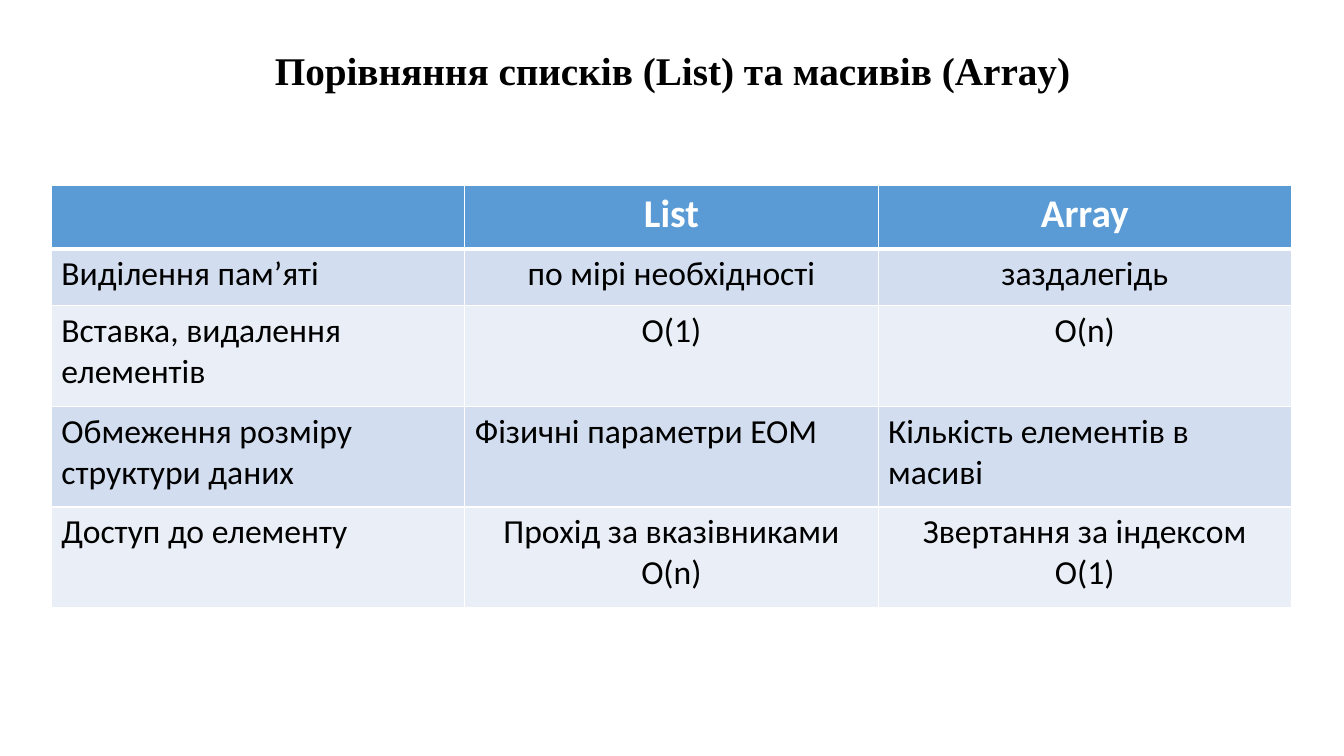
from lxml.etree import SubElement
from pptx import Presentation
from pptx.dml.color import RGBColor
from pptx.enum.text import PP_ALIGN
from pptx.oxml.ns import qn
from pptx.util import Inches, Pt

BLACK = RGBColor(0x00, 0x00, 0x00)
WHITE = RGBColor(0xFF, 0xFF, 0xFF)
HEADER_BLUE = RGBColor(0x5B, 0x9B, 0xD5)
BAND_DARK = RGBColor(0xD2, 0xDE, 0xEF)
BAND_LIGHT = RGBColor(0xEA, 0xEF, 0xF7)

ROWS = [
    ["", "List", "Array"],
    ["Виділення пам’яті", "по мірі необхідності", "заздалегідь"],
    ["Вставка, видалення елементів", "О(1)", "O(n)"],
    ["Обмеження розміру структури даних", "Фізичні параметри ЕОМ",
     "Кількість елементів в масиві"],
    ["Доступ до елементу", "Прохід за вказівниками\nО(n)",
     "Звертання за індексом\nО(1)"],
]
ROW_HEIGHTS = [0.63, 0.56, 1, 1, 1]
COL_WIDTH = 4.1
LIMITS_ROW = 3  # the only body row aligned left throughout


def add_text(p, text, font, size, color, bold, align):
    p.alignment = align
    r = p.add_run()
    r.text = text
    r.font.name = font
    r.font.size = Pt(size)
    r.font.color.rgb = color
    r.font.bold = bold


def set_borders(cell, bottom_width):
    """Draw white cell borders; call before the fill, which must follow them in the XML."""
    tcPr = cell._tc.get_or_add_tcPr()
    for side, width in (("L", 1), ("R", 1), ("T", 1), ("B", bottom_width)):
        ln = SubElement(tcPr, qn(f"a:ln{side}"), w=str(Pt(width)))
        fill = SubElement(ln, qn("a:solidFill"))
        SubElement(fill, qn("a:srgbClr"), val=str(WHITE))


prs = Presentation()
prs.slide_width = Inches(13.33)
prs.slide_height = Inches(7.5)
s = prs.slides.add_slide(prs.slide_layouts[6])

title = s.shapes.add_textbox(Inches(0.24), Inches(0.41), Inches(12.86), Inches(1.28))
tf = title.text_frame
tf.word_wrap = True
add_text(tf.paragraphs[0], "Порівняння списків (List) та масивів (Array)",
         "Times New Roman", 28, BLACK, True, PP_ALIGN.CENTER)

table = s.shapes.add_table(len(ROWS), len(ROWS[0]), Inches(0.51), Inches(1.84),
                           Inches(COL_WIDTH * 3), Inches(sum(ROW_HEIGHTS))).table
for col in table.columns:
    col.width = Inches(COL_WIDTH)

for i, texts in enumerate(ROWS):
    table.rows[i].height = Inches(ROW_HEIGHTS[i])
    header = i == 0
    band = HEADER_BLUE if header else BAND_DARK if i % 2 else BAND_LIGHT
    for j, text in enumerate(texts):
        cell = table.cell(i, j)
        # The header rule is shared with the top edge of the first body row
        set_borders(cell, 3 if header else 1)
        cell.fill.solid()
        cell.fill.fore_color.rgb = band
        if not text:
            continue
        left = j == 0 or i == LIMITS_ROW
        tf = cell.text_frame
        for k, line in enumerate(text.split("\n")):
            p = tf.add_paragraph() if k else tf.paragraphs[0]
            add_text(p, line, "Calibri", 28 if header else 24,
                     WHITE if header else BLACK, header,
                     PP_ALIGN.LEFT if left else PP_ALIGN.CENTER)

prs.save("out.pptx")
